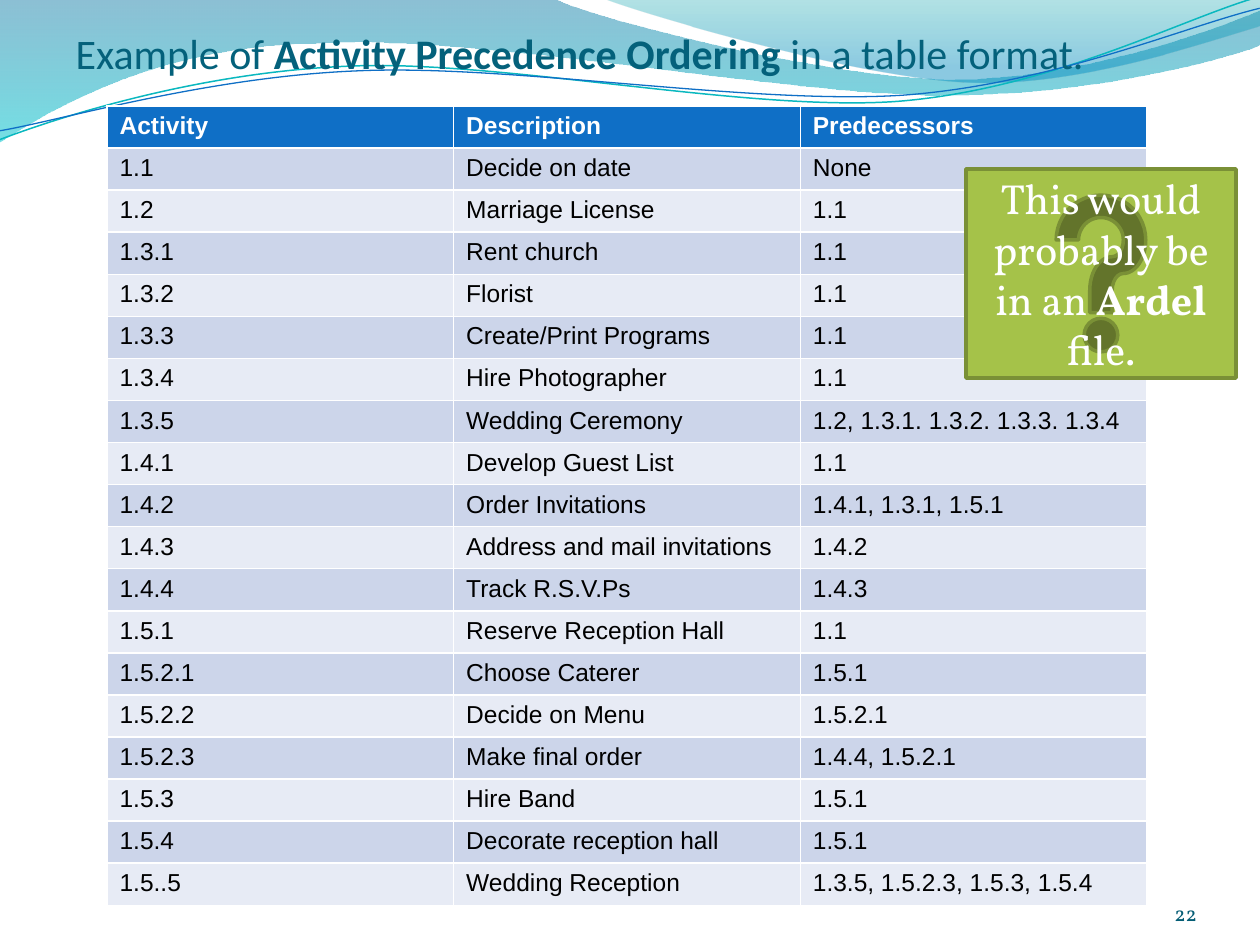
from dataclasses import dataclass
from typing import Optional

import pptx
import pptx.dml.color
import pptx.enum.shapes
import pptx.enum.text
import pptx.oxml
import pptx.oxml.ns
import pptx.util
from lxml import etree

RGBColor = pptx.dml.color.RGBColor
Align = pptx.enum.text.PP_ALIGN
Anchor = pptx.enum.text.MSO_ANCHOR
qn = pptx.oxml.ns.qn

EMU_PER_PX = 914400 / 126

WHITE = RGBColor(0xFF, 0xFF, 0xFF)
BLACK = RGBColor(0x00, 0x00, 0x00)
TITLE_TEAL = RGBColor(0x04, 0x61, 0x7B)
NUMBER_TEAL = RGBColor(0x04, 0x5D, 0x75)
HEADER_BLUE = RGBColor(0x0F, 0x6F, 0xC6)
LINE_CYAN = RGBColor(0x0A, 0xB8, 0xBF)
BAND_DARK = RGBColor(0xCC, 0xD5, 0xEA)
BAND_LIGHT = RGBColor(0xE7, 0xEB, 0xF5)
NOTE_GREEN = RGBColor(0xA5, 0xC2, 0x49)
NOTE_EDGE = RGBColor(0x7A, 0x90, 0x36)


@dataclass
class Stop:
    position: float
    color: RGBColor
    opacity: int


@dataclass
class Wave:
    start: tuple
    segments: list
    stops: tuple = ()
    line: Optional[RGBColor] = None
    width: float = 0
    rotation: float = 0


@dataclass
class Span:
    text: str
    bold: bool = False


WAVES = [
    Wave((0, -1),
         [(554, -1), (600, 21, 837, 79, 955, 79), (1075, 79, 1207, 33, 1260, 11),
          (1261, 45), (1239, 55, 1096, 96, 940, 95), (784, 95, 481, 35, 324, 43),
          (163, 44, 58, 105, -1, 142)],
         (Stop(0, RGBColor(0x00, 0x74, 0xA1), 45), Stop(1, RGBColor(0x00, 0xC6, 0xCF), 55))),
    Wave((604, -1),
         [(641, 14, 859, 78, 969, 82), (1079, 87, 1211, 40, 1260, 26), (1260, 0)],
         (Stop(0, RGBColor(0x00, 0xA1, 0xA9), 30), Stop(0.8, RGBColor(0x00, 0x8B, 0xBF), 45))),
    Wave((-3, 110),
         [(58, 90, 199, 52, 349, 53), (499, 53, 745, 118, 896, 114),
          (1049, 109, 1184, 45, 1260, 27)], line=LINE_CYAN, width=0.85, rotation=357.3),
    Wave((-2, 101),
         [(57, 94, 207, 57, 357, 58), (509, 58, 750, 111, 902, 108),
          (1052, 104, 1188, 52, 1262, 38)], line=HEADER_BLUE, width=0.75, rotation=357.3),
]

ROWS = [
    ("Activity", "Description", "Predecessors"),
    ("1.1", "Decide on date", "None"),
    ("1.2", "Marriage License", "1.1"),
    ("1.3.1", "Rent church", "1.1"),
    ("1.3.2", "Florist", "1.1"),
    ("1.3.3", "Create/Print Programs", "1.1"),
    ("1.3.4", "Hire Photographer", "1.1"),
    ("1.3.5", "Wedding Ceremony", "1.2, 1.3.1. 1.3.2. 1.3.3. 1.3.4"),
    ("1.4.1", "Develop Guest List", "1.1"),
    ("1.4.2", "Order Invitations", "1.4.1, 1.3.1, 1.5.1"),
    ("1.4.3", "Address and mail invitations", "1.4.2"),
    ("1.4.4", "Track R.S.V.Ps", "1.4.3"),
    ("1.5.1", "Reserve Reception Hall", "1.1"),
    ("1.5.2.1", "Choose Caterer", "1.5.1"),
    ("1.5.2.2", "Decide on Menu", "1.5.2.1"),
    ("1.5.2.3", "Make final order", "1.4.4, 1.5.2.1"),
    ("1.5.3", "Hire Band", "1.5.1"),
    ("1.5.4", "Decorate reception hall", "1.5.1"),
    ("1.5..5", "Wedding Reception", "1.3.5, 1.5.2.3, 1.5.3, 1.5.4"),
]


def px(value: float) -> int:
    return pptx.util.Emu(round(value * EMU_PER_PX))


def format_font(font, name: str, size: int, color: RGBColor, bold: bool = False) -> None:
    font.name = name
    font.size = pptx.util.Pt(size)
    font.color.rgb = color
    font.bold = bold


def write_spans(frame, spans: list, name: str, size: int, color: RGBColor,
                align, anchor) -> None:
    frame.word_wrap = True
    frame.vertical_anchor = anchor
    para = frame.paragraphs[0]
    para.alignment = align
    for span in spans:
        run = para.add_run()
        run.text = span.text
        format_font(run.font, name, size, color, span.bold)


def bend_segments(shape, segments: list) -> None:
    steps = list(shape.element.spPr.iter(qn("a:lnTo")))
    for step, segment in zip(steps, segments):
        if len(segment) == 2:
            continue
        step.tag = qn("a:cubicBezTo")
        for index, (x, y) in enumerate((segment[:2], segment[2:4])):
            control = etree.Element(qn("a:pt"), x=str(px(x) - shape.left),
                                    y=str(px(y) - shape.top))
            step.insert(index, control)


def draw_wave(page, wave: Wave) -> None:
    builder = page.shapes.build_freeform(px(wave.start[0]), px(wave.start[1]), scale=1.0)
    builder.add_line_segments([(px(x), px(y)) for *_, x, y in wave.segments],
                              close=bool(wave.stops))
    shape = builder.convert_to_shape()
    bend_segments(shape, wave.segments)
    shape.rotation = wave.rotation
    shape.shadow.inherit = False
    if wave.line is not None:
        shape.fill.background()
        shape.line.color.rgb = wave.line
        shape.line.width = pptx.util.Pt(wave.width)
        return
    shape.line.fill.background()
    shape.fill.gradient()
    shape.fill.gradient_angle = 270
    for target, stop in zip(shape.fill.gradient_stops, wave.stops):
        target.position = stop.position
        target.color.rgb = stop.color
    for color, stop in zip(shape.element.spPr.iter(qn("a:srgbClr")), wave.stops):
        etree.SubElement(color, qn("a:alpha"), val=str(stop.opacity * 1000))


def draw_activities(page) -> None:
    table = page.shapes.add_table(len(ROWS), len(ROWS[0]), px(107), px(106),
                                  px(1040), px(773)).table
    for row, texts in enumerate(ROWS):
        header = row == 0
        fill = HEADER_BLUE if header else BAND_DARK if row % 2 else BAND_LIGHT
        for column, text in enumerate(texts):
            cell = table.cell(row, column)
            cell.fill.solid()
            cell.fill.fore_color.rgb = fill
            cell.text_frame.text = text
            format_font(cell.text_frame.paragraphs[0].runs[0].font, "Arial", 14,
                        WHITE if header else BLACK, header)


def draw_title(page) -> None:
    title = page.shapes.title
    title.left, title.top, title.width, title.height = px(63), px(21), px(1134), px(67)
    write_spans(title.text_frame,
                [Span("Example of "), Span("Activity Precedence Ordering ", True),
                 Span("in a table format.")],
                "Calibri", 24, TITLE_TEAL, Align.LEFT, Anchor.TOP)
    title.element.getparent().append(title.element)


def draw_note(page) -> None:
    note = page.shapes.add_shape(pptx.enum.shapes.MSO_SHAPE.ACTION_BUTTON_HELP,
                                 px(966), px(169), px(270), px(209))
    note.shadow.inherit = False
    note.fill.solid()
    note.fill.fore_color.rgb = NOTE_GREEN
    note.line.color.rgb = NOTE_EDGE
    note.line.width = pptx.util.Pt(2)
    write_spans(note.text_frame,
                [Span("This would probably be in an "), Span("Ardel", True), Span(" file.")],
                "Vollkorn", 24, WHITE, Align.CENTER, Anchor.MIDDLE)


def draw_page_number(page) -> None:
    box = page.shapes.add_textbox(px(1092), px(876), px(105), px(50))
    frame = box.text_frame
    frame.margin_left = frame.margin_right = frame.margin_top = frame.margin_bottom = 0
    write_spans(frame, [Span("22")], "Vollkorn", 12, NUMBER_TEAL, Align.RIGHT, Anchor.BOTTOM)


def main() -> None:
    deck = pptx.Presentation()
    deck.slide_width, deck.slide_height = px(1260), px(945)
    page = deck.slides.add_slide(deck.slide_layouts[5])
    for wave in WAVES:
        draw_wave(page, wave)
    draw_page_number(page)
    draw_activities(page)
    draw_title(page)
    draw_note(page)
    deck.save("out.pptx")


if __name__ == "__main__":
    main()
